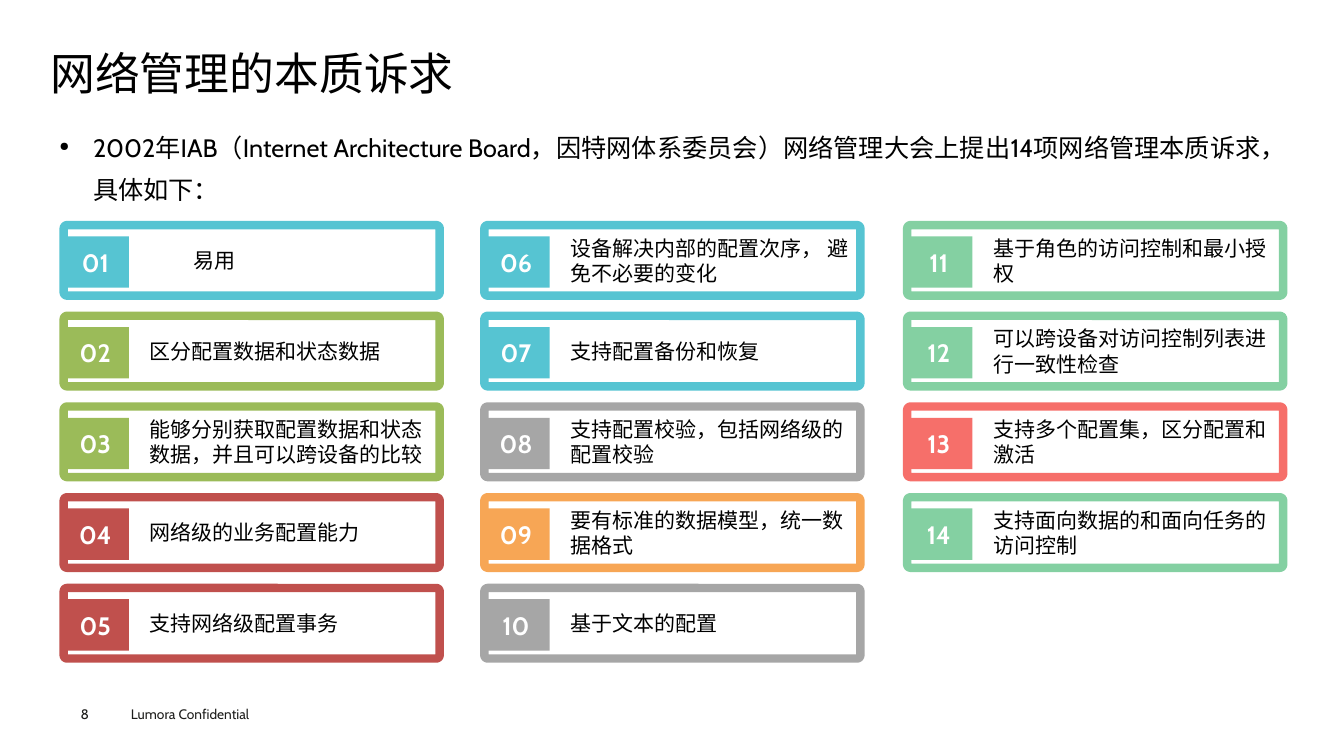
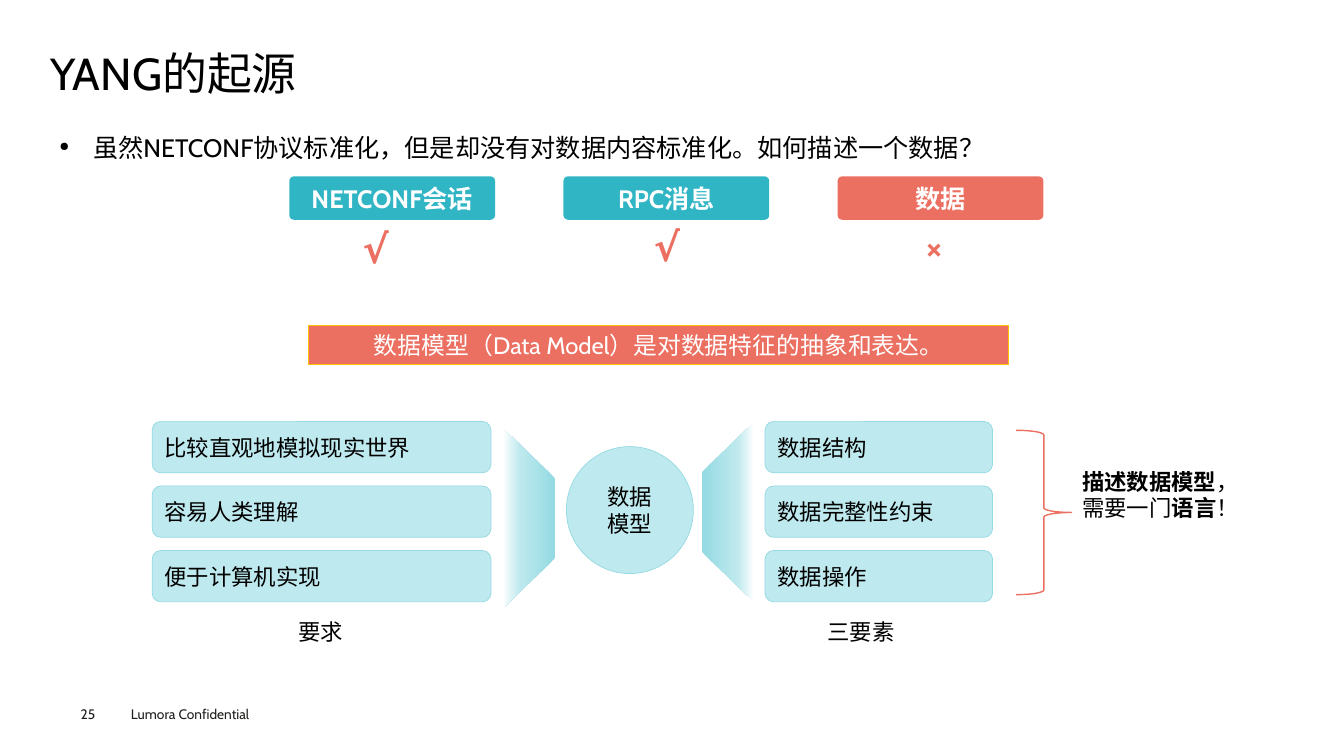
import pptx
import pptx.util
import pptx.dml.color
import pptx.enum.shapes
import pptx.enum.text
import pptx.oxml
import pptx.oxml.ns

Pt = pptx.util.Pt
SHAPES = pptx.enum.shapes.MSO_SHAPE
ALIGN = pptx.enum.text.PP_ALIGN
ANCHOR = pptx.enum.text.MSO_ANCHOR

FONT = "Cabin"
BLACK, WHITE, FOOTER_GREY = "000000", "FFFFFF", "1D1D1B"
CYAN, GREEN, RED, GREY = "56C4D2", "9BBB59", "C0504D", "A6A6A6"
ORANGE, MINT, CORAL = "F7A655", "84D0A2", "F66F6A"
TEAL, SALMON, GOLD = "30B5C5", "EC7061", "FFC000"
PALE_TEAL, MID_TEAL = "BEE9EE", "94DAE2"
DEFAULT_INSETS = (7.2, 3.6, 7.2, 3.6)
NO_INSETS = (0, 0, 0, 0)

FOOTER = "Lumora Confidential"

DEMANDS_TITLE = "网络管理的本质诉求"
DEMANDS_INTRO = "2002年IAB（Internet Architecture Board，因特网体系委员会）网络管理大会上提出14项网络管理本质诉求，具体如下："
DEMAND_COLUMNS = [
    (45.5, [
        ("易用", CYAN),
        ("区分配置数据和状态数据", GREEN),
        ("能够分别获取配置数据和状态数据，并且可以跨设备的比较", GREEN),
        ("网络级的业务配置能力", RED),
        ("支持网络级配置事务", RED),
    ]),
    (346, [
        ("设备解决内部的配置次序， 避免不必要的变化", CYAN),
        ("支持配置备份和恢复", CYAN),
        ("支持配置校验，包括网络级的配置校验", GREY),
        ("要有标准的数据模型，统一数据格式", ORANGE),
        ("基于文本的配置", GREY),
    ]),
    (648, [
        ("基于角色的访问控制和最小授权", MINT),
        ("可以跨设备对访问控制列表进行一致性检查", MINT),
        ("支持多个配置集，区分配置和激活", CORAL),
        ("支持面向数据的和面向任务的访问控制", MINT),
    ]),
]
EXTRA_INDENTS = {1: 31}

ORIGIN_TITLE = "YANG的起源"
ORIGIN_INTRO = "虽然NETCONF协议标准化，但是却没有对数据内容标准化。如何描述一个数据？"
LAYERS = [
    ("NETCONF会话", TEAL, "√", (252, 157)),
    ("RPC消息", TEAL, "√", (460, 155)),
    ("数据", SALMON, "×", (654, 155)),
]
DEFINITION = "数据模型（Data Model）是对数据特征的抽象和表达。"
MODEL_GROUPS = [
    ("要求", 108.7, 242, 193,
     ["比较直观地模拟现实世界", "容易人类理解", "便于计算机实现"]),
    ("三要素", 546.5, 162.5, 579,
     ["数据结构", "数据完整性约束", "数据操作"]),
]
FUNNELS = [(313.2, 351.4, 90), (455.8, 347, 270)]
CONCLUSION = [
    [("描述数据模型", True), ("，", False)],
    [("需要一门", False), ("语言", True), ("！", False)],
]


def color(hex_value):
    return pptx.dml.color.RGBColor.from_string(hex_value)


def write(shape, paragraphs, size, text_color=BLACK, bold=False,
          align=ALIGN.LEFT, anchor=ANCHOR.MIDDLE, insets=DEFAULT_INSETS):
    frame = shape.text_frame
    frame.word_wrap = True
    frame.vertical_anchor = anchor
    (frame.margin_left, frame.margin_top,
     frame.margin_right, frame.margin_bottom) = [Pt(inset) for inset in insets]
    for index, parts in enumerate(paragraphs):
        paragraph = frame.add_paragraph() if index else frame.paragraphs[0]
        paragraph.alignment = align
        if isinstance(parts, str):
            parts = [(parts, bold)]
        for text, is_bold in parts:
            run = paragraph.add_run()
            run.text = text
            run.font.size = Pt(size)
            run.font.bold = is_bold
            run.font.name = FONT
            run.font.color.rgb = color(text_color)
            east_asian = pptx.oxml.parse_xml(
                f'<a:ea {pptx.oxml.ns.nsdecls("a")} typeface="{FONT}"/>')
            run.font._element.append(east_asian)
    return frame


def add_text(slide, box, paragraphs, size, anchor=ANCHOR.TOP, **style):
    text_box = slide.shapes.add_textbox(*[Pt(length) for length in box])
    return write(text_box, paragraphs, size, anchor=anchor, **style)


def add_shape(slide, kind, box, fill=None, line=None, line_width=1, corner=None):
    shape = slide.shapes.add_shape(kind, *[Pt(length) for length in box])
    shape.shadow.inherit = False
    if fill:
        shape.fill.solid()
        shape.fill.fore_color.rgb = color(fill)
    else:
        shape.fill.background()
    if line:
        shape.line.color.rgb = color(line)
        shape.line.width = Pt(line_width)
    else:
        shape.line.fill.background()
    if corner is not None:
        shape.adjustments[0] = corner
    return shape


def add_slide(presentation, title, intro, number):
    slide = presentation.slides.add_slide(presentation.slide_layouts[6])
    add_text(slide, (86.4, 500.4, 140, 19.4), [FOOTER], 9.8, text_color=FOOTER_GREY)
    add_text(slide, (57.6, 504, 39.6, 11.5), [number], 9.8,
             text_color=FOOTER_GREY, insets=NO_INSETS)
    add_text(slide, (36, 35.3, 889, 38.2), [title], 32, anchor=ANCHOR.MIDDLE,
             insets=NO_INSETS).paragraphs[0].line_spacing = 0.9
    frame = add_text(slide, (36, 82.8, 889, 70), [intro], 18,
                     align=ALIGN.JUSTIFY, insets=(6.5, 2.9, 6.5, 2.9))
    paragraph = frame.paragraphs[0]
    paragraph.line_spacing = 1.4
    properties = paragraph._p.get_or_add_pPr()
    properties.set("marL", str(Pt(24)))
    properties.set("indent", str(Pt(-24)))
    for tag, attribute, value in (("buSzPct", "val", "50000"), ("buChar", "char", "●")):
        properties.append(pptx.oxml.parse_xml(
            f'<a:{tag} {pptx.oxml.ns.nsdecls("a")} {attribute}="{value}"/>'))
    return slide


def add_demand(slide, left, top, number, text, accent):
    card = add_shape(slide, SHAPES.ROUNDED_RECTANGLE, (left, top, 268.6, 50.4),
                     WHITE, accent, 6, corner=0.046)
    write(card, [text], 15, insets=(61 + EXTRA_INDENTS.get(number, 0), 0, 4, 0))
    badge = add_shape(slide, SHAPES.RECTANGLE, (left - 1.5, top + 8, 48.2, 36.7), accent)
    write(badge, [f"{number:02d}"], 18, WHITE, True, ALIGN.CENTER)


def add_funnel(slide, left, top, rotation):
    funnel = add_shape(slide, SHAPES.TRAPEZOID, (left, top, 128.9, 37.4), corner=0.958)
    funnel.rotation = rotation
    funnel.fill.gradient()
    stops = "".join(
        f'<a:gs pos="{position * 1000}"><a:srgbClr val="{stop}"/></a:gs>'
        for position, stop in ((0, MID_TEAL), (67, PALE_TEAL), (100, WHITE)))
    gradient = pptx.oxml.parse_xml(
        f'<a:gradFill {pptx.oxml.ns.nsdecls("a")} rotWithShape="1">'
        f'<a:gsLst>{stops}</a:gsLst><a:lin ang="5400000" scaled="0"/></a:gradFill>')
    properties = funnel._element.spPr
    properties.replace(properties.find(pptx.oxml.ns.qn("a:gradFill")), gradient)


def build_demands(presentation):
    slide = add_slide(presentation, DEMANDS_TITLE, DEMANDS_INTRO, "8")
    number = 0
    for left, demands in DEMAND_COLUMNS:
        for row, (text, accent) in enumerate(demands):
            number += 1
            add_demand(slide, left, 160.8 + 64.8 * row, number, text, accent)


def build_origin(presentation):
    slide = add_slide(presentation, ORIGIN_TITLE, ORIGIN_INTRO, "25")
    for column, (label, fill, mark, mark_position) in enumerate(LAYERS):
        header = add_shape(slide, SHAPES.ROUNDED_RECTANGLE,
                           (206.7 + 195.8 * column, 126, 147, 31), fill, corner=0.106)
        write(header, [label], 18, WHITE, True, ALIGN.CENTER)
        add_text(slide, (*mark_position, 31.7, 41), [mark], 28,
                 text_color=SALMON, bold=True)

    banner = add_shape(slide, SHAPES.RECTANGLE, (220.3, 232.6, 500.4, 28),
                       SALMON, GOLD, 0.75)
    write(banner, [DEFINITION], 17, WHITE, align=ALIGN.CENTER)

    for caption, left, width, caption_left, items in MODEL_GROUPS:
        for row, item in enumerate(items):
            box = add_shape(slide, SHAPES.ROUNDED_RECTANGLE,
                            (left, 301 + 46.1 * row, width, 36.7),
                            PALE_TEAL, MID_TEAL, 0.5)
            write(box, [item], 16)
        add_text(slide, (caption_left, 437.8, 72, 26.6), [caption], 16,
                 align=ALIGN.CENTER)

    for funnel in FUNNELS:
        add_funnel(slide, *funnel)
    model = add_shape(slide, SHAPES.FLOWCHART_CONNECTOR, (404.6, 319, 90.7, 90.7),
                      PALE_TEAL, MID_TEAL, 0.5)
    write(model, ["数据", "模型"], 16, align=ALIGN.CENTER)
    add_shape(slide, SHAPES.RIGHT_BRACE, (725.8, 307.4, 39.6, 117.4), line=SALMON)
    add_text(slide, (766, 330.5, 156, 46), CONCLUSION, 16)


def main():
    presentation = pptx.Presentation()
    presentation.slide_width = Pt(960)
    presentation.slide_height = Pt(540)
    build_demands(presentation)
    build_origin(presentation)
    presentation.save("out.pptx")


if __name__ == "__main__":
    main()
